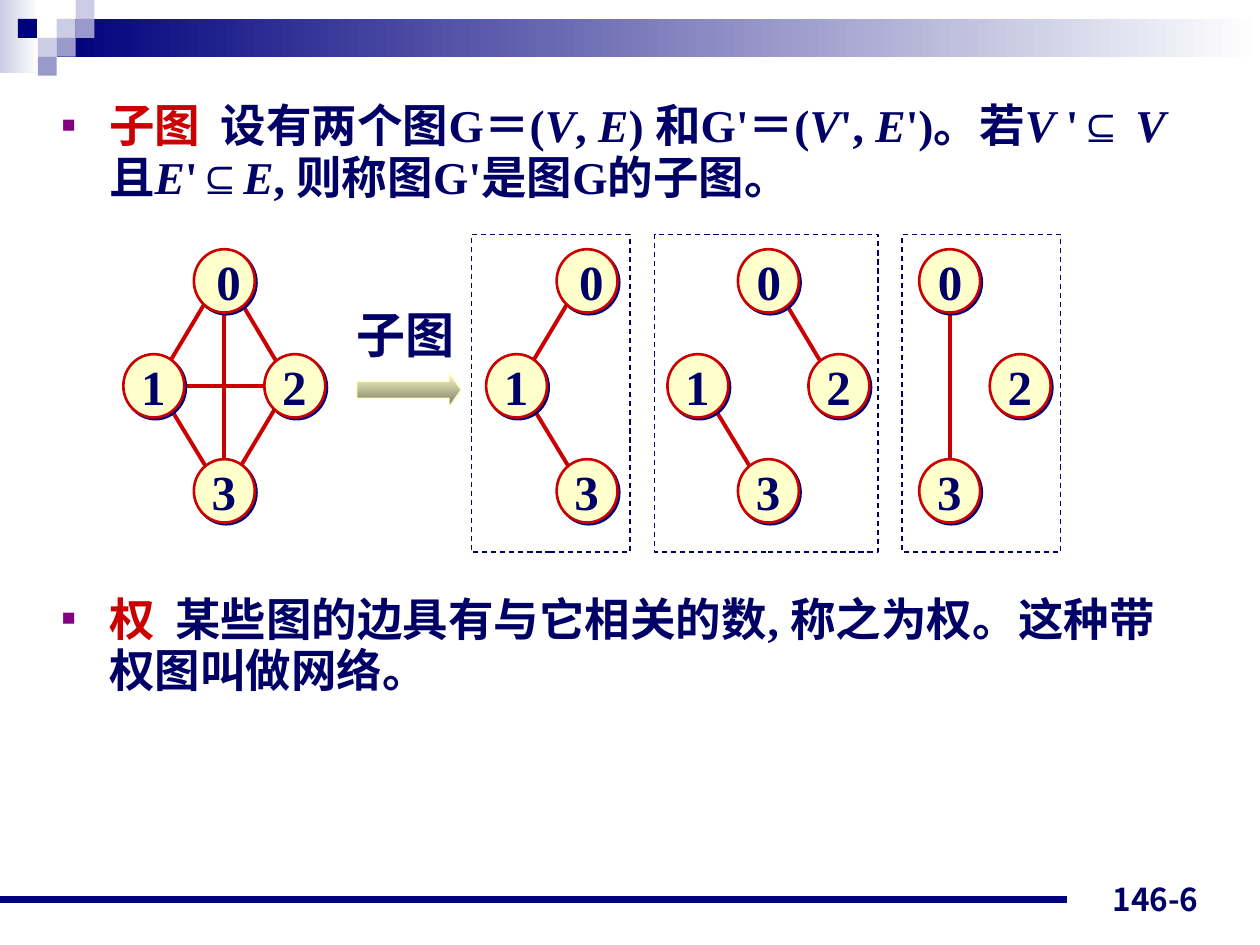
from lxml.etree import SubElement as Sub
from pptx import Presentation
from pptx.dml.color import RGBColor
from pptx.enum.dml import MSO_LINE as Dash
from pptx.enum.shapes import MSO_CONNECTOR as Link, MSO_SHAPE as Kind
from pptx.enum.text import MSO_ANCHOR as Anchor, MSO_AUTO_SIZE as Fit, PP_ALIGN as Align
from pptx.oxml.ns import qn
from pptx.util import Pt

HUES = {
    "navy": "00007D", "ink": "000066", "red": "CC0000", "cream": "FFFFCC",
    "olive": "76765E", "mist": "CCCCE6", "haze": "9999CC", "plum": "800080",
    "white": "FFFFFF",
}
SERIF, SANS, HAN = "Times New Roman", "Arial", "Noto Sans CJK JP"

# Node centres and edge ends, measured from the middle of a graph
NODES = {"0": (0, -60), "1": (-40.3, 0), "2": (40.3, 0), "3": (0, 60)}
EDGES = {
    "23": (34.6, 3.6, 5.8, 51.8),
    "01": (-5.8, -56.2, -34.6, -8),
    "13": (-34.6, 6.5, -5.8, 54),
    "02": (5.8, -54, 34.6, -5.8),
    "12": (-28.8, 0, 34.6, 0),
    "03": (0, -47.5, 0, 57.6),
}


def hue(name):
    return RGBColor.from_string(HUES[name])


class Deck:
    def __init__(self):
        self.prs = Presentation()
        self.prs.slide_width, self.prs.slide_height = Pt(720), Pt(540)
        self.slide = self.prs.slides.add_slide(self.prs.slide_layouts[1])
        title = self.slide.shapes.title
        title._element.getparent().remove(title._element)

    def shape(self, kind, box, fill=None, line=None, width=0.75):
        """Draw a preset shape; a pair of fill names makes a gradient."""
        item = self.slide.shapes.add_shape(kind, *map(Pt, box))
        item.shadow.inherit = False
        if fill is None:
            item.fill.background()
        elif isinstance(fill, tuple):
            item.fill.gradient()
            for stop, name in zip(item.fill.gradient_stops, fill):
                stop.color.rgb = hue(name)
            item.fill.gradient_angle = 0
        else:
            item.fill.solid()
            item.fill.fore_color.rgb = hue(fill)
        if line:
            item.line.color.rgb = hue(line)
            item.line.width = Pt(width)
        else:
            item.line.fill.background()
        return item

    def line(self, ends, color, width):
        item = self.slide.shapes.add_connector(Link.STRAIGHT, *map(Pt, ends))
        item.line.color.rgb = hue(color)
        item.line.width = Pt(width)
        Sub(item._element.spPr, qn("a:effectLst"))

    def font(self, para, size, face=SERIF):
        font = para.font
        font.size, font.bold, font.name = Pt(size), True, face
        font.color.rgb = hue("ink")
        props = para._p.pPr.find(qn("a:defRPr"))
        Sub(props, qn("a:ea"), typeface=HAN)

    def text(self, box, words, size, face=SERIF, wrap=True):
        item = self.slide.shapes.add_textbox(*map(Pt, box))
        frame = item.text_frame
        frame.word_wrap, frame.auto_size = wrap, Fit.NONE
        para = frame.paragraphs[0]
        para.text = words
        self.font(para, size, face)
        return frame

    def bullet(self, para):
        props = para._p.get_or_add_pPr()
        props.set("marL", str(Pt(27)))
        props.set("indent", str(-Pt(27)))
        color = Sub(props, qn("a:buClr"))
        Sub(color, qn("a:srgbClr"), val=HUES["plum"])
        Sub(props, qn("a:buSzPct"), val="50000")
        Sub(props, qn("a:buFont"), typeface=SANS)
        Sub(props, qn("a:buChar"), char="■")

    def body(self, box, items):
        """Fill the body from (space before, runs) pairs; a run is (text, style)."""
        item = self.slide.placeholders[1]
        item.left, item.top, item.width, item.height = map(Pt, box)
        frame = item.text_frame
        frame.word_wrap, frame.auto_size = True, Fit.NONE
        frame.vertical_anchor = Anchor.TOP
        for n, (gap, runs) in enumerate(items):
            para = frame.add_paragraph() if n else frame.paragraphs[0]
            self.bullet(para)
            para.space_before, para.line_spacing = Pt(gap), Pt(29.5)
            self.font(para, 26)
            for words, style in runs:
                run = para.add_run()
                run.text = words
                if style == "key":
                    run.font.color.rgb = hue("red")
                elif style == "var":
                    run.font.italic = True
                elif style == "sign":
                    run.font.name = SANS

    def node(self, x, y, name, shift):
        item = self.shape(Kind.OVAL, (x - 17.4, y - 18.1, 34.8, 36.2), "cream", "red", 1.5)
        effects = item._element.spPr.find(qn("a:effectLst"))
        shade = Sub(effects, qn("a:outerShdw"), blurRad="0", dist=str(Pt(1.4)),
                    dir="2700000", algn="ctr", rotWithShape="0")
        Sub(shade, qn("a:srgbClr"), val=HUES["navy"])
        self.text((x - 14.3 + shift, y - 20.2, 28, 41), name, 28, wrap=False)

    def graph(self, x, y, names, edges, shift):
        for edge in edges:
            x1, y1, x2, y2 = EDGES[edge]
            self.line((x + x1, y + y1, x + x2, y + y2), "red", 2.25)
        for name in names:
            dx, dy = NODES[name]
            self.node(x + dx, y + dy, name, shift if name == "0" else 0)

    def frame(self, left, width):
        item = self.shape(Kind.RECTANGLE, (left, 134, width, 181.4), line="ink")
        item.line.dash_style = Dash.DASH

    def header(self):
        self.shape(Kind.RECTANGLE, (0, 0, 22.3, 41.8), ("mist", "white"))
        self.shape(Kind.RECTANGLE, (32.4, 10.8, 687.6, 21.6), ("navy", "white"))
        side = 10.8
        for col, row, color in ((3, 1, "mist"), (4, 0, "mist"), (4, 1, "haze"),
                                (2, 2, "mist"), (0.95, 1, "navy"), (3, 2, "haze"),
                                (2, 3, "haze")):
            self.shape(Kind.RECTANGLE, (col * side, row * side, side, side), color)

    def footer(self, words):
        self.line((0, 514, 609.8, 514), "navy", 4.5)
        frame = self.text((524, 491.8, 168, 36), words, 18, HAN)
        frame.vertical_anchor = Anchor.BOTTOM
        frame.paragraphs[0].alignment = Align.RIGHT


def main():
    deck = Deck()
    deck.header()
    deck.footer("146-6")
    deck.body((28.1, 53.5, 648, 366), [
        (0, [
            ("子图", "key"), ("  设有两个图G＝(", ""), ("V", "var"), (", ", ""),
            ("E", "var"), (") 和G'＝(", ""), ("V", "var"), ("', ", ""),
            ("E", "var"), ("')。若", ""), ("V ", "var"), ("'", ""),
            ("⊆", "sign"), (" V ", "var"), ("且", ""), ("E", "var"), ("'", ""),
            ("⊆", "sign"), ("E", "var"), (", 则称图G'是图G的子图。", ""),
        ]),
        (223, [
            ("权 ", "key"),
            (" 某些图的边具有与它相关的数, 称之为权。这种带权图叫做网络。", ""),
        ]),
    ])

    arrow = deck.shape(Kind.RIGHT_ARROW, (203.8, 213.1, 59.8, 19.4),
                       ("cream", "olive"), "cream")
    arrow.fill.gradient_angle = 270
    arrow.adjustments[1] = 0.36
    deck.text((196.6, 170.6, 86.4, 41), "子图", 28)

    mid = 220.5
    deck.graph(128.2, mid, "1203", EDGES, 2.7)
    parts = (("103", ("01", "13"), 2.7),
             ("1203", ("13", "02"), 0.5),
             ("203", ("03",), 0.5))
    for n, (names, edges, shift) in enumerate(parts):
        deck.graph(335.5 + n * 103.6, mid, names, edges, shift)
    for left, width in ((269.3, 90.7), (374.2, 127.6), (515.5, 90.7)):
        deck.frame(left, width)
    deck.prs.save("out.pptx")


if __name__ == "__main__":
    main()
